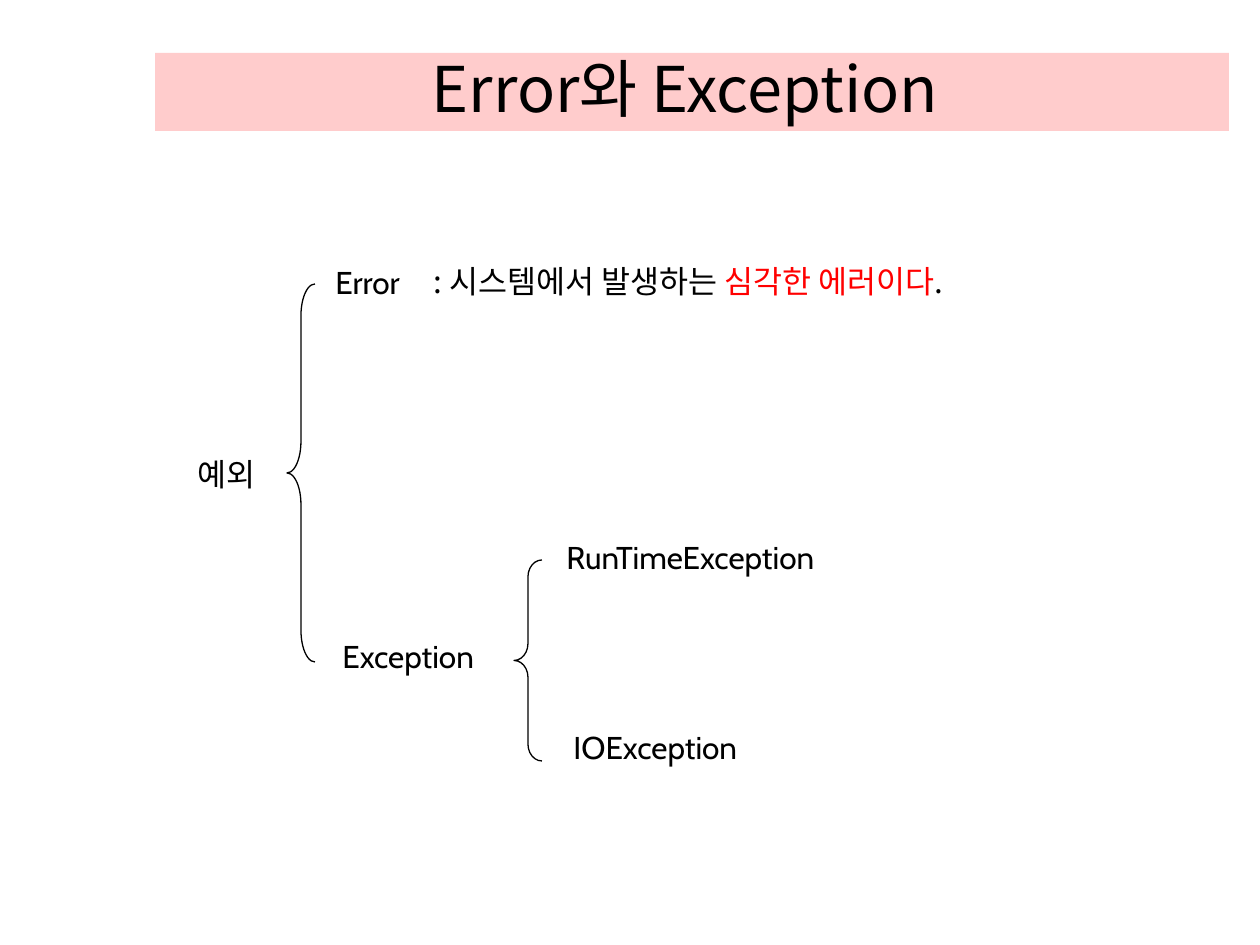
from lxml import etree
from pptx import Presentation
from pptx import util as u
from pptx.dml.color import RGBColor
from pptx.enum import shapes, text
from pptx.oxml.ns import qn

PX_PER_INCH = 126
COLOURS = {"ink": "000000", "alert": "FF0000", "banner": "FFCCCC"}
HANGUL = "Noto Sans CJK KR"
LATIN = "Cabin"
COMIC = "Comic Neue"


def px(length):
    return u.Emu(round(length * u.Inches(1) / PX_PER_INCH))


def colour(name):
    return RGBColor.from_string(COLOURS[name])


class SlideBuilder:
    def __init__(self, deck):
        self.slide = deck.slides.add_slide(deck.slide_layouts[5])
        self.body_size = 18
        self.title_size = 36
        self.line_width = 0.75

    def add_run(self, paragraph, words, size, font, ink="ink"):
        run = paragraph.add_run()
        run.text = words
        run.font.size = u.Pt(size)
        run.font.name = font
        run.font.color.rgb = colour(ink)
        east_asian = etree.Element(qn("a:ea"), typeface=HANGUL)
        run.font._element.find(qn("a:latin")).addnext(east_asian)

    def title(self, words, left, top, width, height):
        banner = self.slide.shapes.title
        banner.left, banner.top = px(left), px(top)
        banner.width, banner.height = px(width), px(height)
        banner.fill.solid()
        banner.fill.fore_color.rgb = colour("banner")
        frame = banner.text_frame
        frame.auto_size = text.MSO_AUTO_SIZE.NONE
        frame.vertical_anchor = text.MSO_ANCHOR.BOTTOM
        frame.paragraphs[0].alignment = text.PP_ALIGN.CENTER
        self.add_run(frame.paragraphs[0], words, self.title_size, HANGUL)

    def label(self, runs, left, top, width, font=LATIN, wrap=False,
              align=text.PP_ALIGN.LEFT, anchor=text.MSO_ANCHOR.TOP):
        box = self.slide.shapes.add_textbox(px(left), px(top), px(width), px(50))
        frame = box.text_frame
        frame.word_wrap = wrap
        frame.auto_size = text.MSO_AUTO_SIZE.SHAPE_TO_FIT_TEXT
        frame.vertical_anchor = anchor
        frame.paragraphs[0].alignment = align
        for words, ink in runs:
            self.add_run(frame.paragraphs[0], words, self.body_size, font, ink)

    def brace(self, left, top, height, curl):
        brace = self.slide.shapes.add_shape(
            shapes.MSO_SHAPE.LEFT_BRACE, px(left), px(top), px(28), px(height))
        brace.adjustments[0] = curl
        brace.shadow.inherit = False
        brace.fill.background()
        brace.line.color.rgb = colour("ink")
        brace.line.width = u.Pt(self.line_width)


def main():
    deck = Presentation()
    deck.slide_width, deck.slide_height = px(1260), px(945)
    builder = SlideBuilder(deck)
    builder.title("Error와 Exception ", 155, 53, 1074, 78)

    builder.brace(287, 284, 378, 1.13)
    builder.label([("예외", "ink")], 185, 449, 98, COMIC)

    branches = [
        ("Error", 323, 257, 106),
        ("Exception", 330, 631, 174),
        ("RunTimeException", 554, 532, 297),
        ("IOException", 561, 722, 203),
    ]
    for name, left, top, width in branches:
        builder.label([(name, "ink")], left, top, width)

    error_meaning = [
        (": 시스템에서 발생하는 ", "ink"),
        ("심각한 에러이다", "alert"),
        (". ", "ink"),
    ]
    builder.label(error_meaning, 421, 256, 640, HANGUL, wrap=True,
                  align=text.PP_ALIGN.JUSTIFY, anchor=text.MSO_ANCHOR.MIDDLE)
    builder.brace(514, 560, 201, 0.6)

    deck.save("out.pptx")


if __name__ == "__main__":
    main()
